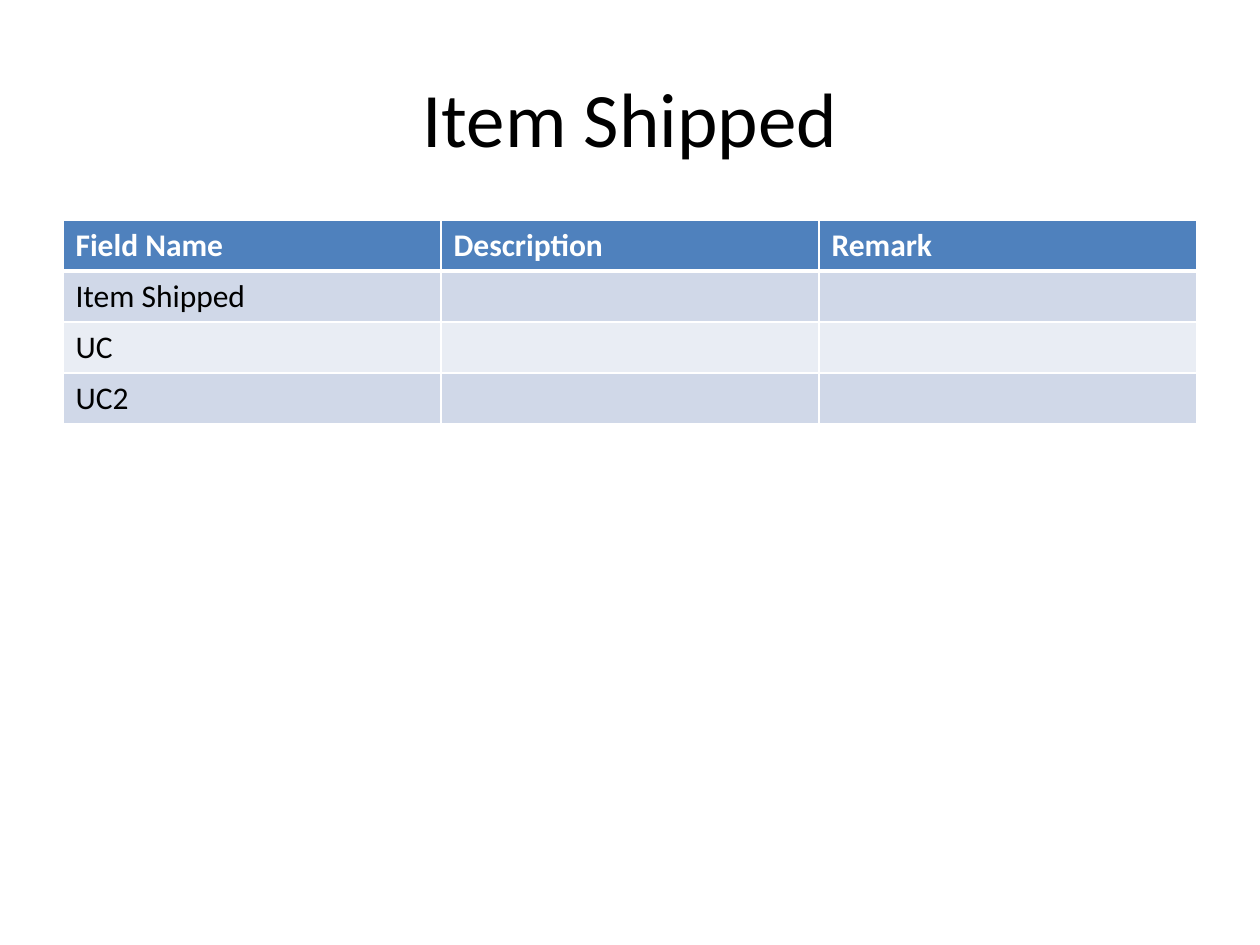
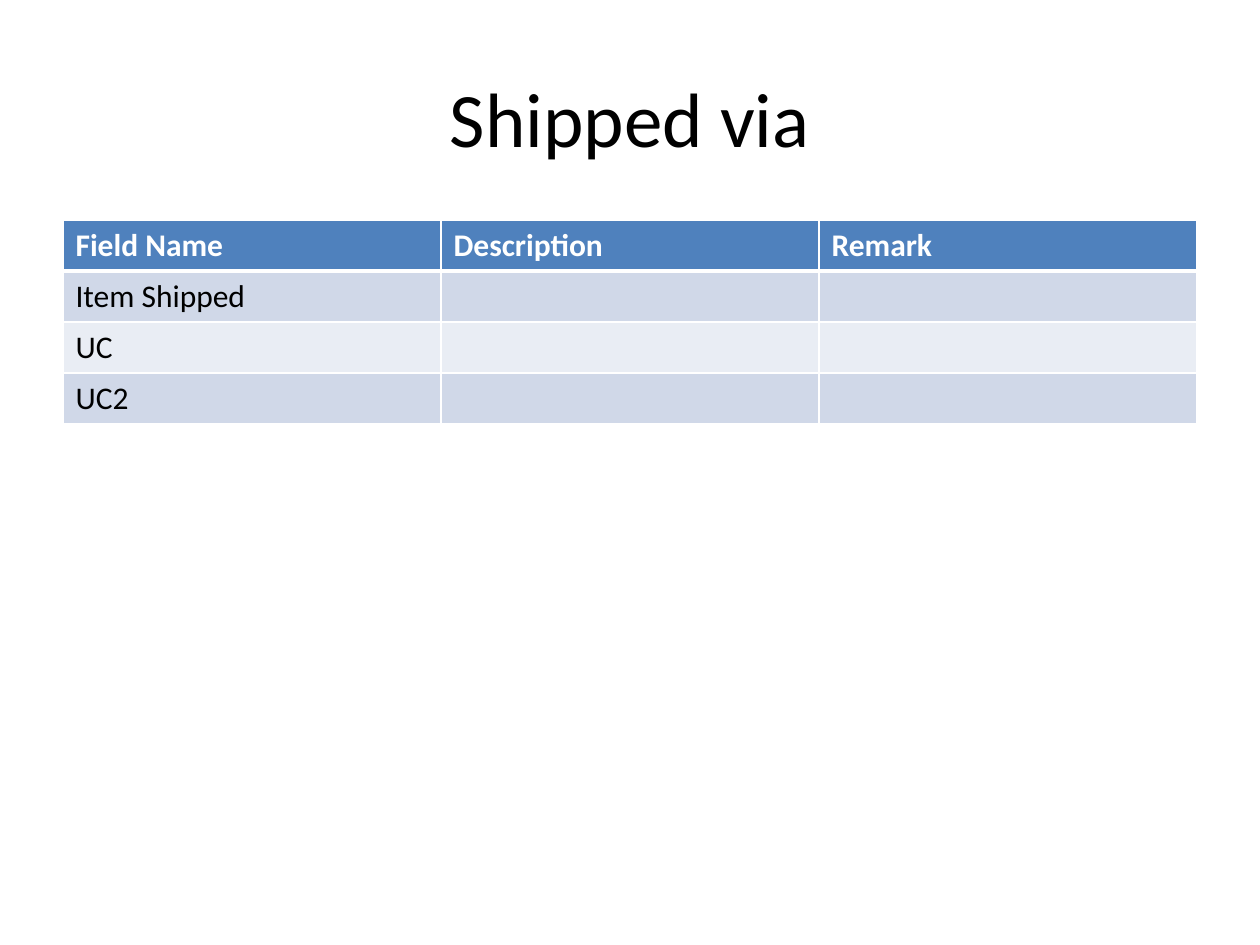
from dataclasses import dataclass

from lxml import etree
from pptx import Presentation
from pptx.dml.color import RGBColor
from pptx.enum.text import MSO_ANCHOR, PP_ALIGN
from pptx.oxml.ns import qn
from pptx.util import Pt

CENTER, LEFT = PP_ALIGN.CENTER, PP_ALIGN.LEFT
MIDDLE = MSO_ANCHOR.MIDDLE
EMU_PER_PX = 914400 / 126
BLANK_LAYOUT = 6


@dataclass(frozen=True)
class Theme:
    font: str = "Calibri"
    title_size: int = 44
    table_size: int = 18
    text: str = "000000"
    white: str = "FFFFFF"
    header: str = "4F81BD"
    bands: tuple = ("D0D8E8", "E9EDF4")
    border: int = 1
    header_border: int = 3


THEME = Theme()

# Content
FIELD_ROWS = [
    ("Field Name", "Description", "Remark"),
    ("Item Shipped", "", ""),
    ("UC", "", ""),
    ("UC2", "", ""),
]
TITLES = ["Item Shipped", "Shipped via"]

# Layout in px
SLIDE_WIDTH, SLIDE_HEIGHT = 1260, 945
MARGIN = 63
CONTENT_WIDTH = SLIDE_WIDTH - 2 * MARGIN
TITLE_TOP, TITLE_HEIGHT = 38, 157
TABLE_TOP, ROW_HEIGHT = 220, 51


def px(length):
    return round(length * EMU_PER_PX)


def add_run(paragraph, text, size, color, bold=False, align=LEFT):
    paragraph.alignment = align
    run = paragraph.add_run()
    run.text = text
    run.font.name = THEME.font
    run.font.size = Pt(size)
    run.font.bold = bold
    run.font.color.rgb = RGBColor.from_string(color)


def add_title(slide, text):
    shape = slide.shapes.add_textbox(
        px(MARGIN), px(TITLE_TOP), px(CONTENT_WIDTH), px(TITLE_HEIGHT))
    frame = shape.text_frame
    frame.word_wrap = True
    frame.vertical_anchor = MIDDLE
    add_run(frame.paragraphs[0], text, THEME.title_size, THEME.text, align=CENTER)


def add_border(cell, side, width):
    properties = cell._tc.get_or_add_tcPr()
    line = etree.SubElement(properties, qn(f"a:ln{side}"), w=str(Pt(width)))
    fill = etree.SubElement(line, qn("a:solidFill"))
    etree.SubElement(fill, qn("a:srgbClr"), val=THEME.white)


def style_cell(cell, row):
    # Borders precede the fill in the cell properties
    thick_side = {0: "B", 1: "T"}.get(row)
    for side in "LRTB":
        add_border(cell, side, THEME.header_border if side == thick_side else THEME.border)
    color = THEME.bands[(row - 1) % 2] if row else THEME.header
    cell.fill.solid()
    cell.fill.fore_color.rgb = RGBColor.from_string(color)


def add_field_table(slide, rows):
    column_count = len(rows[0])
    table = slide.shapes.add_table(
        len(rows), column_count, px(MARGIN), px(TABLE_TOP),
        px(CONTENT_WIDTH), px(ROW_HEIGHT * len(rows))).table
    for column in table.columns:
        column.width = px(CONTENT_WIDTH // column_count)
    for row, texts in enumerate(rows):
        table.rows[row].height = px(ROW_HEIGHT)
        is_header = row == 0
        for column, text in enumerate(texts):
            cell = table.cell(row, column)
            style_cell(cell, row)
            if text:
                add_run(cell.text_frame.paragraphs[0], text, THEME.table_size,
                        THEME.white if is_header else THEME.text, bold=is_header)


def main():
    presentation = Presentation()
    presentation.slide_width = px(SLIDE_WIDTH)
    presentation.slide_height = px(SLIDE_HEIGHT)
    for title in TITLES:
        slide = presentation.slides.add_slide(presentation.slide_layouts[BLANK_LAYOUT])
        add_title(slide, title)
        add_field_table(slide, FIELD_ROWS)
    presentation.save("out.pptx")


if __name__ == "__main__":
    main()
